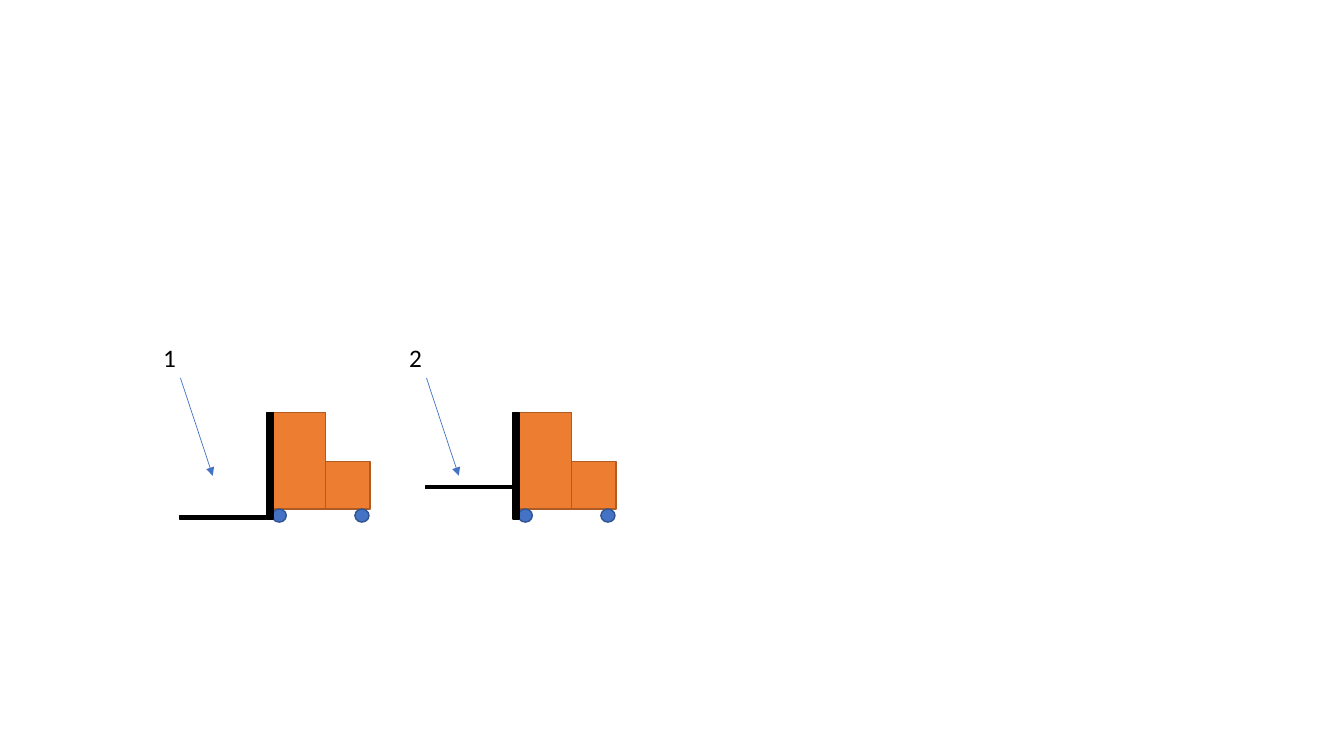
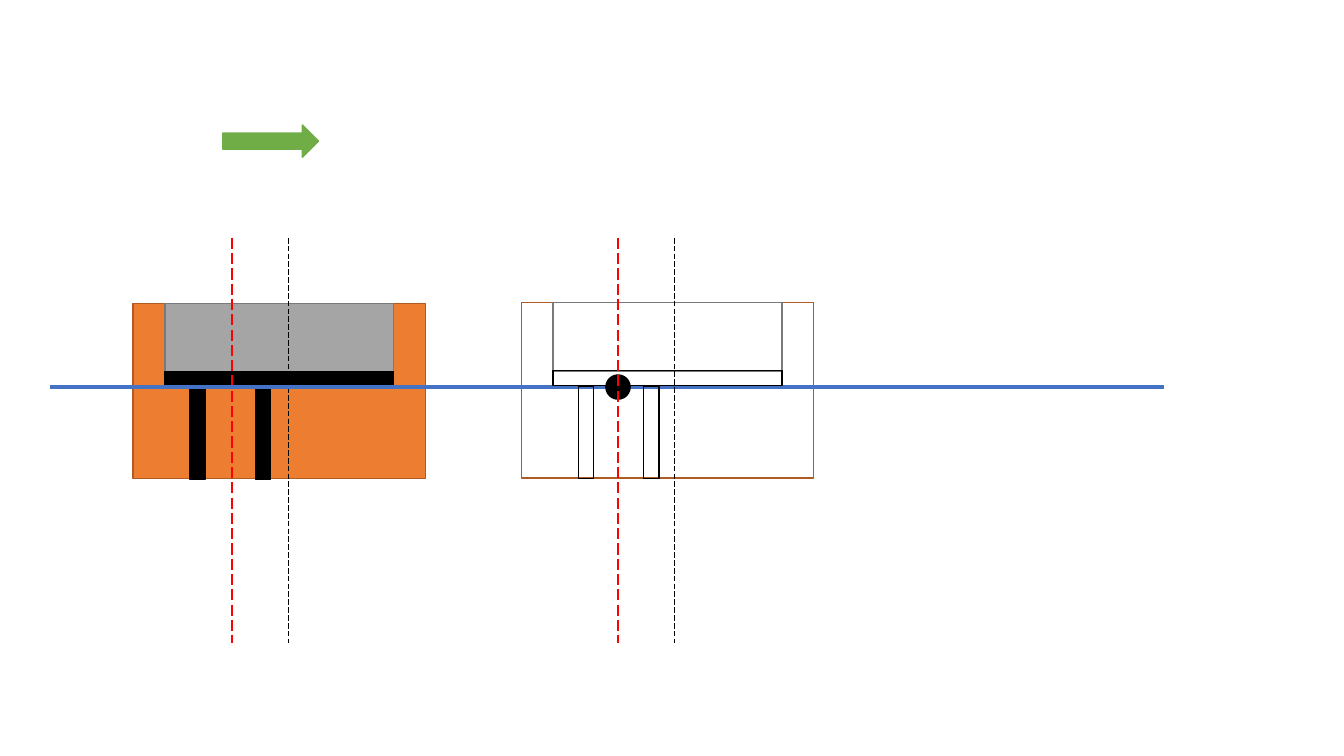
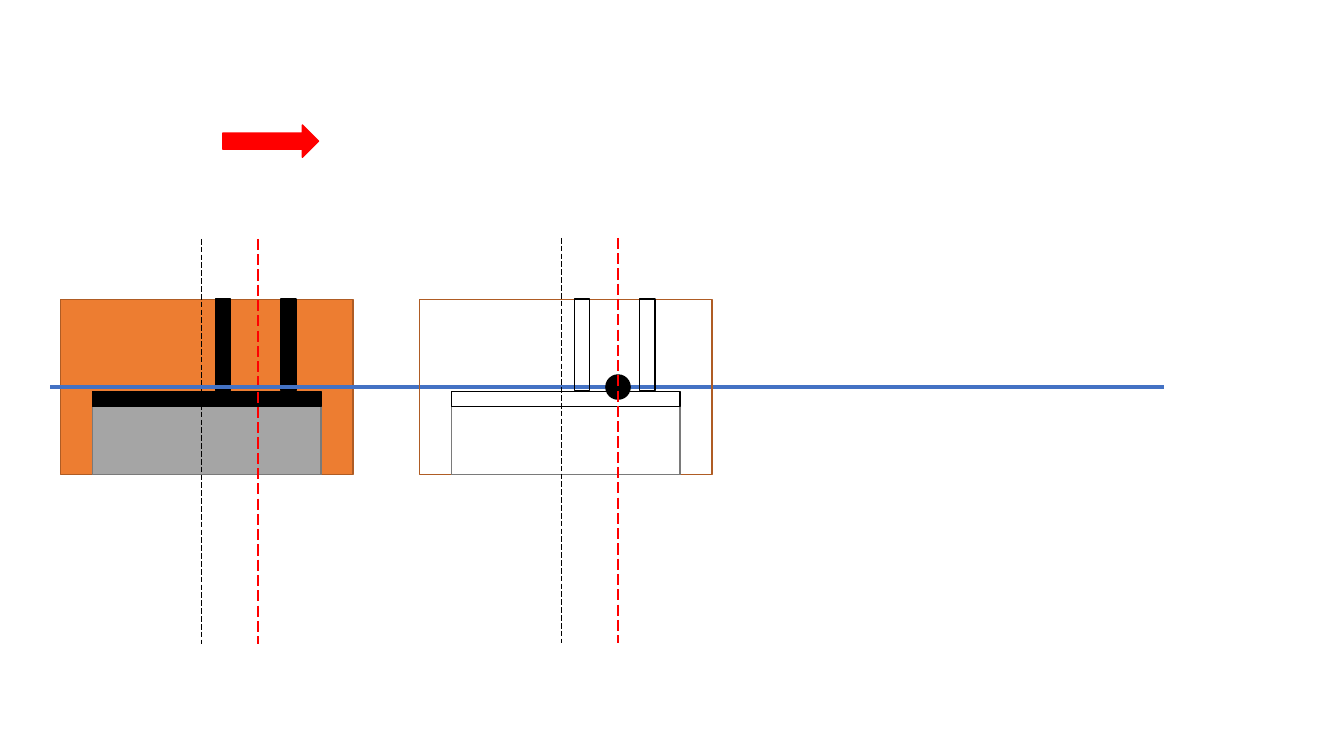
"""Build three slides of forklift side views and rotated top views."""
import pptx
import pptx.dml.color
import pptx.enum.dml
import pptx.enum.shapes
import pptx.enum.text
import pptx.oxml.ns
import pptx.util
from lxml import etree

Inches = pptx.util.Inches
Pt = pptx.util.Pt
SHAPE = pptx.enum.shapes.MSO_SHAPE
DASH = pptx.enum.dml.MSO_LINE.LONG_DASH

FONT = "Calibri"
COLORS = {
    "black": "000000", "orange": "ED7D31", "brown": "AF5C24", "blue": "4472C4",
    "navy": "325491", "gray": "A5A5A5", "dark_gray": "7A7A7A",
    "green": "70AD47", "red": "FF0000",
}

FORKLIFT_PITCH = 2.44
FORKLIFTS = [("1", 5.12), ("2", 4.82)]
FORKLIFT_PARTS = [
    (SHAPE.RECTANGLE, 2.7, 4.09, 0.53, 0.96, "orange", "brown"),
    (SHAPE.RECTANGLE, 3.23, 4.58, 0.44, 0.47, "orange", "brown"),
    (SHAPE.OVAL, 2.7, 5.05, 0.14, 0.13, "blue", "navy"),
    (SHAPE.OVAL, 3.52, 5.05, 0.14, 0.13, "blue", "navy"),
    (SHAPE.RECTANGLE, 2.65, 4.09, 0.06, 1.06, "black", "black"),
]

TOP_VIEW_PARTS = [
    (0, 0, 1.74, 2.9, "orange", "brown"),
    (0, -0.53, 0.68, 2.27, "gray", "dark_gray"),
    (-0.16, 0.42, 0.91, 0.15, "black", "black"),
    (0, -0.12, 0.15, 2.27, "black", "black"),
    (-0.81, 0.42, 0.91, 0.15, "black", "black"),
]
PIVOT_TO_CENTERLINE = 0.56
TOP_VIEW_SLIDES = [
    {"rotation": 270, "direction": 1, "arrow": "green",
     "start": (2.77, 3.88, 2.3, 2.36), "end": (6.62, 3.87, 6.13, 2.36)},
    {"rotation": 90, "direction": -1, "arrow": "red",
     "start": (2.05, 3.84, 2.56, 2.37), "end": (5.61, 3.84, 6.13, 2.36)},
]


def color(name):
    return pptx.dml.color.RGBColor.from_string(COLORS[name])


def add_part(shapes, kind, left, top, width, height, fill, line, rotation=0):
    shape = shapes.add_shape(kind, *map(Inches, (left, top, width, height)))
    shape.shadow.inherit = False
    shape.rotation = rotation
    if fill:
        shape.fill.solid()
        shape.fill.fore_color.rgb = color(fill)
    else:
        shape.fill.background()
    shape.line.color.rgb = color(line)
    shape.line.width = Pt(1)


def add_line(shapes, start, end, line, width, dash=None, arrowhead=False):
    connector = shapes.add_connector(
        pptx.enum.shapes.MSO_CONNECTOR.STRAIGHT, *map(Inches, (*start, *end)))
    connector.line.color.rgb = color(line)
    connector.line.width = Pt(width)
    if dash:
        connector.line.dash_style = dash
    qualified = pptx.oxml.ns.qn
    if arrowhead:
        outline = connector.line._get_or_add_ln()
        etree.SubElement(outline, qualified("a:tailEnd"), type="triangle")
    etree.SubElement(connector._element.spPr, qualified("a:effectLst"))


def add_text(shapes, text, left, top, width, height, size=18, ink="black"):
    frame = shapes.add_textbox(*map(Inches, (left, top, width, height))).text_frame
    frame.word_wrap = False
    frame.auto_size = pptx.enum.text.MSO_AUTO_SIZE.SHAPE_TO_FIT_TEXT
    run = frame.paragraphs[0].add_run()
    run.text = text
    run.font.name = FONT
    run.font.size = Pt(size)
    run.font.color.rgb = color(ink)


def add_forklift(shapes, label, fork_top, offset):
    add_part(shapes, SHAPE.RECTANGLE, 1.78 + offset, fork_top, 0.87, 0.03,
             "black", "black")
    for kind, left, top, width, height, fill, line in FORKLIFT_PARTS:
        add_part(shapes, kind, left + offset, top, width, height, fill, line)
    add_text(shapes, label, 1.52 + offset, 3.35, 0.33, 0.4)
    add_line(shapes, (1.79 + offset, 3.75), (2.11 + offset, 4.72), "blue", 0.5,
             arrowhead=True)


def add_top_view(shapes, place, rotation, direction, filled):
    center_x, center_y, pivot, line_top = place
    group = shapes.add_group_shape()
    for across, along, width, height, fill, line in TOP_VIEW_PARTS:
        add_part(group.shapes, SHAPE.RECTANGLE,
                 center_x + direction * across - width / 2,
                 center_y + direction * along - height / 2,
                 width, height, fill if filled else None, line, rotation)
    centerline = pivot + direction * PIVOT_TO_CENTERLINE
    for x, line, weight in ((pivot, "red", 1), (centerline, "black", 0.5)):
        add_line(shapes, (x, line_top), (x, line_top + 4.02), line, weight, DASH)


def main():
    presentation = pptx.Presentation()
    presentation.slide_width = Inches(13.33)
    presentation.slide_height = Inches(7.5)
    blank = presentation.slide_layouts[6]

    shapes = presentation.slides.add_slide(blank).shapes
    for index, (label, fork_top) in enumerate(FORKLIFTS):
        add_forklift(shapes, label, fork_top, index * FORKLIFT_PITCH)

    for view in TOP_VIEW_SLIDES:
        shapes = presentation.slides.add_slide(blank).shapes
        turn = view["rotation"], view["direction"]
        add_top_view(shapes, view["start"], *turn, filled=True)
        add_part(shapes, SHAPE.RIGHT_ARROW, 2.21, 1.24, 0.95, 0.32,
                 view["arrow"], view["arrow"])
        add_line(shapes, (0.5, 3.84), (11.54, 3.84), "blue", 2.25)
        add_part(shapes, SHAPE.OVAL, 6.01, 3.72, 0.24, 0.24, "black", "black")
        add_top_view(shapes, view["end"], *turn, filled=False)

    presentation.save("out.pptx")


if __name__ == "__main__":
    main()
